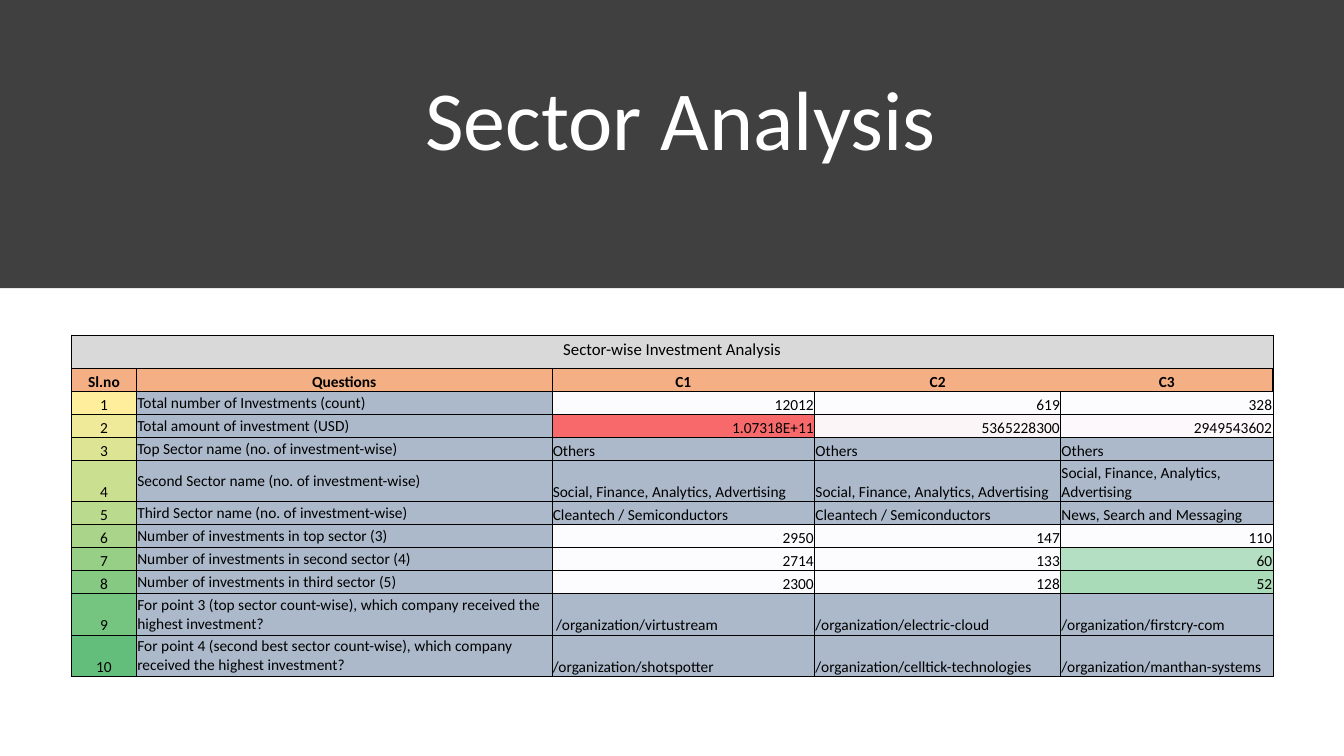
from lxml import etree
from pptx import Presentation
from pptx.dml.color import RGBColor
from pptx.enum.shapes import MSO_SHAPE
from pptx.enum.text import MSO_ANCHOR, PP_ALIGN
from pptx.oxml.ns import qn
from pptx.util import Cm, Pt

RECTANGLE = MSO_SHAPE.RECTANGLE
MIDDLE, BOTTOM = MSO_ANCHOR.MIDDLE, MSO_ANCHOR.BOTTOM
LEFT, CENTER, RIGHT = PP_ALIGN.LEFT, PP_ALIGN.CENTER, PP_ALIGN.RIGHT
TITLE_ONLY = 5

FONT = "Calibri"
BLACK, WHITE, CHARCOAL = "000000", "FFFFFF", "404040"
GREY, ORANGE, BLUE, PALE = "D9D9D9", "F4B084", "ACB9CA", "FCFCFF"

# Table content
CAPTION = "Sector-wise Investment Analysis"
HEADINGS = ["Sl.no", "Questions", "C1", "C2", "C3"]
SOCIAL = "Social, Finance, Analytics, Advertising"
ANSWERS = [
    ("Total number of Investments (count)", "12012", "619", "328"),
    ("Total amount of investment (USD)", "1.07318E+11", "5365228300", "2949543602"),
    ("Top Sector name (no. of investment-wise)", "Others", "Others", "Others"),
    ("Second Sector name (no. of investment-wise)", SOCIAL, SOCIAL, SOCIAL),
    ("Third Sector name (no. of investment-wise)", "Cleantech / Semiconductors",
     "Cleantech / Semiconductors", "News, Search and Messaging"),
    ("Number of investments in top sector (3)", "2950", "147", "110"),
    ("Number of investments in second sector (4)", "2714", "133", "60"),
    ("Number of investments in third sector (5)", "2300", "128", "52"),
    ("For point 3 (top sector count-wise), which company received the highest investment?",
     " /organization/virtustream", "/organization/electric-cloud",
     "/organization/firstcry-com"),
    ("For point 4 (second best sector count-wise), which company received the highest investment?",
     "/organization/shotspotter", "/organization/celltick-technologies",
     "/organization/manthan-systems"),
]
NUMBER_FILLS = ["FFEF9C", "EEEA99", "DDE595", "CBDF91", "BADA8E",
                "A9D48A", "97CF86", "86C983", "75C47F", "63BE7B"]
NUMERIC_ROWS = {1, 2, 6, 7, 8}
# Heat-map colours by (question number, column)
HEAT_FILLS = {(2, 2): "F8696B", (2, 3): "FCF5F8", (2, 4): "FCF8FB",
              (7, 4): "B5DFC2", (8, 4): "AADBB8"}

COLUMN_WIDTHS = [1.64, 10.47, 6.62, 6.2, 5.35]
CAPTION_HEIGHT, LINE_HEIGHT, TWO_LINE_HEIGHT = 0.84, 0.58, 1.04
TWO_LINE_ROWS = {4, 9, 10}
ALL_EDGES = {"L": 0.5, "R": 0.5, "T": 0.5, "B": 0.5}
HEADING_EDGES = {2: {"L": 0.5, "T": 0.5, "B": 0.5},
                 3: {"T": 0.5, "B": 0.5},
                 4: {"R": 1, "T": 0.5, "B": 0.5}}


def color(value):
    return RGBColor.from_string(value)


class SlideBuilder:
    def __init__(self, deck):
        self.page = deck.slides.add_slide(deck.slide_layouts[TITLE_ONLY])

    def format_text(self, frame, size, ink, align, bold=False):
        for para in frame.paragraphs:
            para.alignment = align
            for span in para.runs:
                span.font.name = FONT
                span.font.size = Pt(size)
                span.font.bold = bold
                span.font.color.rgb = color(ink)

    def band(self, left, top, width, height, fill):
        box = self.page.shapes.add_shape(
            RECTANGLE, Cm(left), Cm(top), Cm(width), Cm(height))
        box.shadow.inherit = False
        box.fill.solid()
        box.fill.fore_color.rgb = color(fill)
        box.line.fill.background()
        # Place the band behind the title
        self.page.shapes._spTree.insert(2, box._element)

    def title(self, text, left, top, width, height):
        box = self.page.shapes.title
        box.left, box.top = Cm(left), Cm(top)
        box.width, box.height = Cm(width), Cm(height)
        frame = box.text_frame
        frame.text = text
        frame.word_wrap = True
        frame.vertical_anchor = BOTTOM
        frame.paragraphs[0].line_spacing = 0.9
        self.format_text(frame, 60, WHITE, CENTER)

    def table(self, left, top, widths, heights):
        table = self.page.shapes.add_table(
            len(heights), len(widths), Cm(left), Cm(top),
            Cm(sum(widths)), Cm(sum(heights))).table
        table.first_row = table.horz_banding = False
        for column, width in zip(table.columns, widths):
            column.width = Cm(width)
        for row, height in zip(table.rows, heights):
            row.height = Cm(height)
        return table

    def borders(self, cell, edges):
        properties = cell._tc.get_or_add_tcPr()
        for index, side in enumerate("LRTB"):
            line = etree.Element(qn(f"a:ln{side}"))
            if side in edges:
                line.set("w", str(Pt(edges[side])))
                paint = etree.SubElement(line, qn("a:solidFill"))
                etree.SubElement(paint, qn("a:srgbClr"), val=BLACK)
            else:
                etree.SubElement(line, qn("a:noFill"))
            properties.insert(index, line)

    def cell(self, cell, text, fill, align=LEFT, anchor=BOTTOM, bold=False,
             edges=ALL_EDGES):
        cell.text_frame.text = text
        cell.vertical_anchor = anchor
        cell.margin_left = cell.margin_right = cell.margin_top = Cm(0.02)
        cell.margin_bottom = 0
        cell.fill.solid()
        cell.fill.fore_color.rgb = color(fill)
        self.format_text(cell.text_frame, 11, BLACK, align, bold)
        self.borders(cell, edges)

    def caption(self, table, text, fill):
        last = len(table.columns) - 1
        table.cell(0, 0).merge(table.cell(0, last))
        for cell in table.rows[0].cells:
            cell.fill.solid()
            cell.fill.fore_color.rgb = color(fill)
            self.borders(cell, ALL_EDGES)
        frame = table.cell(0, 0).text_frame
        frame.text = text
        self.format_text(frame, 12, BLACK, CENTER)


def main():
    deck = Presentation()
    deck.slide_width, deck.slide_height = Cm(33.87), Cm(19.05)
    slide = SlideBuilder(deck)

    # Title band
    slide.band(0, 0, 33.87, 7.26, CHARCOAL)
    slide.title(" Sector Analysis", 1.96, 1.02, 29.9, 3.35)

    # Table frame, caption and headings
    heights = [CAPTION_HEIGHT, LINE_HEIGHT]
    heights += [TWO_LINE_HEIGHT if number in TWO_LINE_ROWS else LINE_HEIGHT
                for number in range(1, len(ANSWERS) + 1)]
    table = slide.table(1.8, 8.44, COLUMN_WIDTHS, heights)
    slide.caption(table, CAPTION, GREY)
    for column, heading in enumerate(HEADINGS):
        slide.cell(table.cell(1, column), heading, ORANGE, CENTER, bold=True,
                   edges=HEADING_EDGES.get(column, ALL_EDGES))

    # Questions and answers
    for number, (question, *answers) in enumerate(ANSWERS, start=1):
        row = number + 1
        slide.cell(table.cell(row, 0), str(number), NUMBER_FILLS[number - 1], CENTER)
        is_last = number == len(ANSWERS)
        slide.cell(table.cell(row, 1), question, BLUE, anchor=MIDDLE,
                   edges={**ALL_EDGES, "B": 1} if is_last else ALL_EDGES)
        numeric = number in NUMERIC_ROWS
        for column, answer in enumerate(answers, start=2):
            fill = HEAT_FILLS.get((number, column), PALE if numeric else BLUE)
            slide.cell(table.cell(row, column), answer, fill,
                       RIGHT if numeric else LEFT)

    deck.save("out.pptx")


if __name__ == "__main__":
    main()
